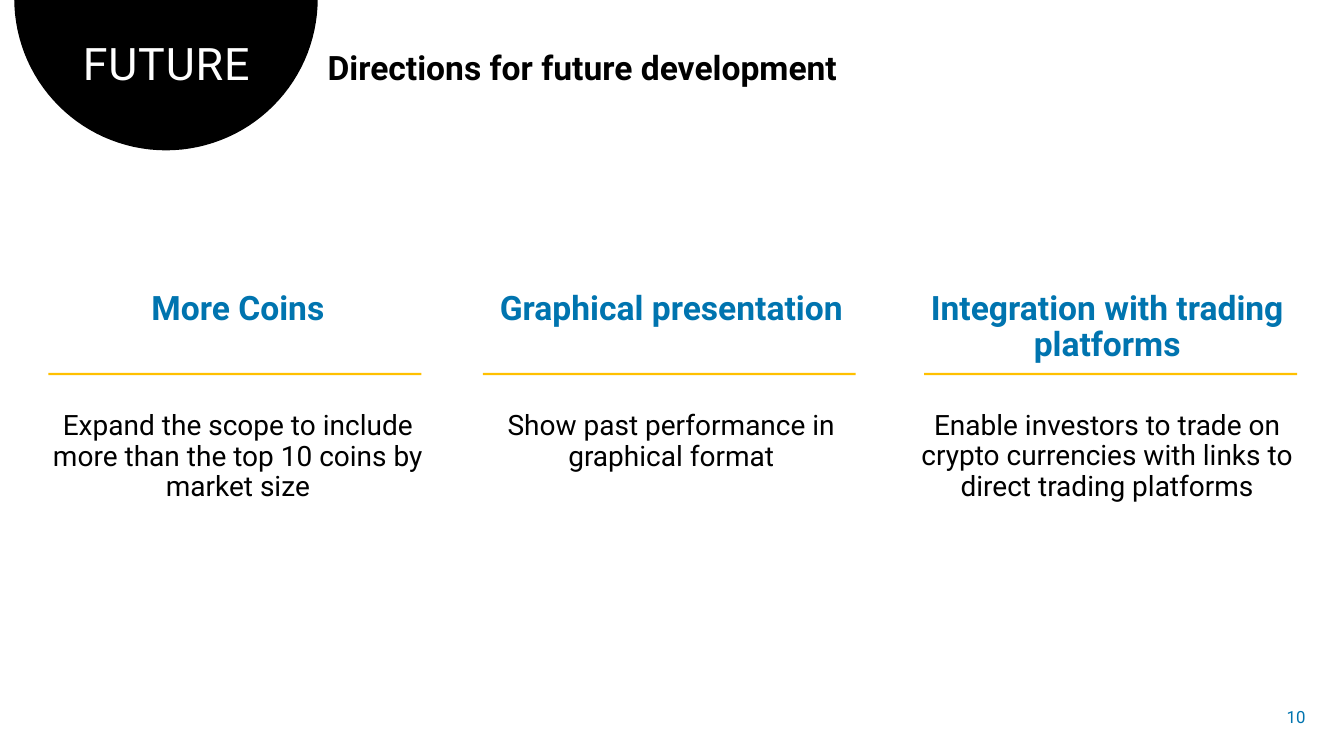
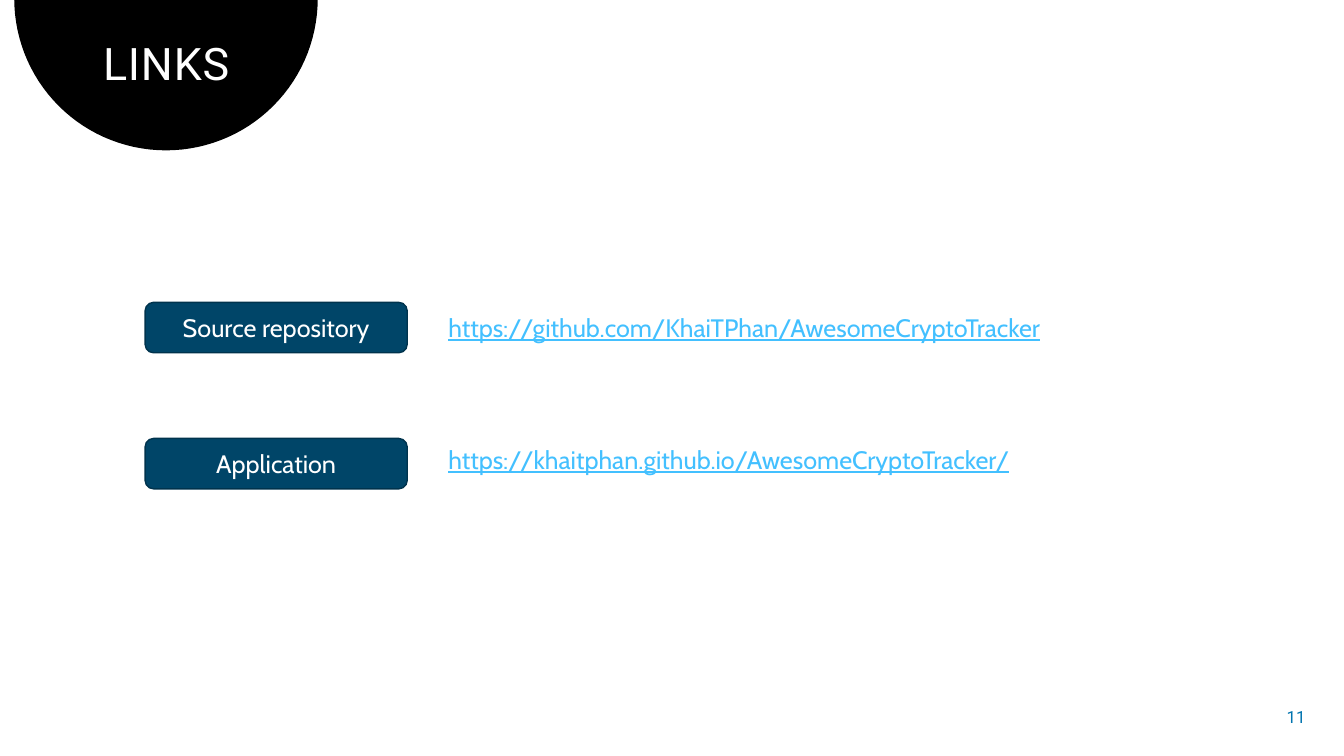
import math

from lxml import etree
from pptx import Presentation
from pptx import util as u
from pptx.dml.color import RGBColor
from pptx.enum import shapes, text

BLACK, WHITE, BLUE, GOLD = "000000", "FFFFFF", "0074AF", "FFC000"
NAVY, EDGE, LINK = "004568", "00334D", "43C0FF"
COMPARISON, TITLE_ONLY = 4, 5
CENTER, LEFT, RIGHT = text.PP_ALIGN.CENTER, text.PP_ALIGN.LEFT, text.PP_ALIGN.RIGHT


def rgb(color):
    return RGBColor.from_string(color)


class Deck:
    """Holds the deck style and the slide being built."""

    def __init__(self):
        self.prs = Presentation()
        self.prs.slide_width, self.prs.slide_height = u.Pt(960), u.Pt(540)
        self.s = None

    def slide(self, layout, title, number):
        self.s = self.prs.slides.add_slide(self.prs.slide_layouts[layout])
        self.dome()
        p = self.placeholder(0, 25.2, 26.6, 187.2, 42.5)
        r = self.add_text(p, title, 32, WHITE, align=CENTER, spacing=0.9)
        r.font._element.set("spc", "60")
        self.textbox(number, 900, 497.5, 39.6, 28.8, 12, BLUE, "Roboto",
                     RIGHT, text.MSO_ANCHOR.MIDDLE, wrap=False)

    def dome(self):
        cx, cy, radius = 118.6, -1, 108.4
        points = []
        for deg in range(0, 181, 3):
            angle = math.radians(deg)
            points.append((u.Pt(cx + radius * math.cos(angle)),
                           u.Pt(max(0, cy + radius * math.sin(angle)))))
        builder = self.s.shapes.build_freeform(*points[0])
        builder.add_line_segments(points[1:], close=True)
        sp = self.paint(builder.convert_to_shape(), BLACK)
        self.s.shapes.element.insert(2, sp.element)

    def paint(self, sp, fill, line=None):
        sp.shadow.inherit = False
        sp.fill.solid()
        sp.fill.fore_color.rgb = rgb(fill)
        if line:
            sp.line.color.rgb = rgb(line)
            sp.line.width = u.Pt(1)
        else:
            sp.line.fill.background()
        return sp

    def placeholder(self, idx, x, y, w, h):
        sp = self.s.placeholders[idx]
        sp.left, sp.top, sp.width, sp.height = u.Pt(x), u.Pt(y), u.Pt(w), u.Pt(h)
        tf = sp.text_frame
        tf.word_wrap = True
        tf.auto_size = text.MSO_AUTO_SIZE.NONE
        tf.vertical_anchor = text.MSO_ANCHOR.TOP
        return tf.paragraphs[0]

    def add_text(self, p, words, size, color, font="Roboto", bold=False,
                 align=LEFT, spacing=1.0, before=0, after=0):
        pr = p._p.get_or_add_pPr()
        pr.set("marL", "0")
        pr.set("indent", "0")
        etree.SubElement(pr, "{http://schemas.openxmlformats.org/drawingml/2006/main}buNone")
        p.alignment, p.line_spacing = align, spacing
        p.space_before, p.space_after = u.Pt(before), u.Pt(after)
        r = p.add_run()
        r.text = words
        r.font.name, r.font.size, r.font.bold = font, u.Pt(size), bold
        r.font.color.rgb = rgb(color)
        return r

    def subtitle(self, idx, words):
        p = self.placeholder(idx, 226.8, 33.1, 715, 33.1)
        self.add_text(p, words, 24, BLACK, bold=True, spacing=0.9)

    def column(self, idx, x, w, rule_x, heading, body, gap):
        p = self.placeholder(idx, x, 204.5, w, 160)
        self.add_text(p, heading, 24, BLUE, bold=True, align=CENTER,
                      spacing=0.9, after=24)
        p = self.s.placeholders[idx].text_frame.add_paragraph()
        self.add_text(p, body, 20, BLACK, align=CENTER, spacing=0.9, before=gap)
        self.box(shapes.MSO_SHAPE.RECTANGLE, rule_x, 266.4, 266.4, 1.5, GOLD)

    def box(self, kind, x, y, w, h, fill, line=None):
        sp = self.s.shapes.add_shape(kind, u.Pt(x), u.Pt(y), u.Pt(w), u.Pt(h))
        return self.paint(sp, fill, line)

    def button(self, words, x, y):
        sp = self.box(shapes.MSO_SHAPE.ROUNDED_RECTANGLE, x, y, 187.2, 36, NAVY, EDGE)
        tf = sp.text_frame
        tf.vertical_anchor = text.MSO_ANCHOR.MIDDLE
        self.add_text(tf.paragraphs[0], words, 18, WHITE, "Cabin", align=CENTER)

    def textbox(self, words, x, y, w, h, size, color, font, align=LEFT,
                anchor=text.MSO_ANCHOR.TOP, wrap=True):
        sp = self.s.shapes.add_textbox(u.Pt(x), u.Pt(y), u.Pt(w), u.Pt(h))
        tf = sp.text_frame
        tf.word_wrap, tf.vertical_anchor = wrap, anchor
        return self.add_text(tf.paragraphs[0], words, size, color, font, align=align)

    def link(self, address, x, y):
        r = self.textbox(address, x, y, 480.2, 28.8, 18, LINK, "Cabin")
        r.font.underline = True


def main():
    deck = Deck()

    deck.slide(COMPARISON, "FUTURE", "10")
    deck.subtitle(1, "Directions for future development")
    columns = [
        (23.8, 292.3, 34.6, "More Coins",
         "Expand the scope to include more than the top 10 coins by market size", 36),
        (328.3, 302.4, 344.9, "Graphical presentation",
         "Show past performance in graphical format", 36),
        (642.2, 297.4, 660.2, "Integration with trading platforms",
         "Enable investors to trade on crypto currencies with links to "
         "direct trading platforms", 10),
    ]
    for idx, column in enumerate(columns, start=2):
        deck.column(idx, *column)

    deck.slide(TITLE_ONLY, "LINKS", "11")
    links = [
        ("Source repository", 216, "https://github.com/KhaiTPhan/AwesomeCryptoTracker", 219.6),
        ("Application", 313.2, "https://khaitphan.github.io/AwesomeCryptoTracker/", 313.9),
    ]
    for label, button_y, address, link_y in links:
        deck.button(label, 103.7, button_y)
        deck.link(address, 313.2, link_y)

    deck.prs.save("out.pptx")


if __name__ == "__main__":
    main()
